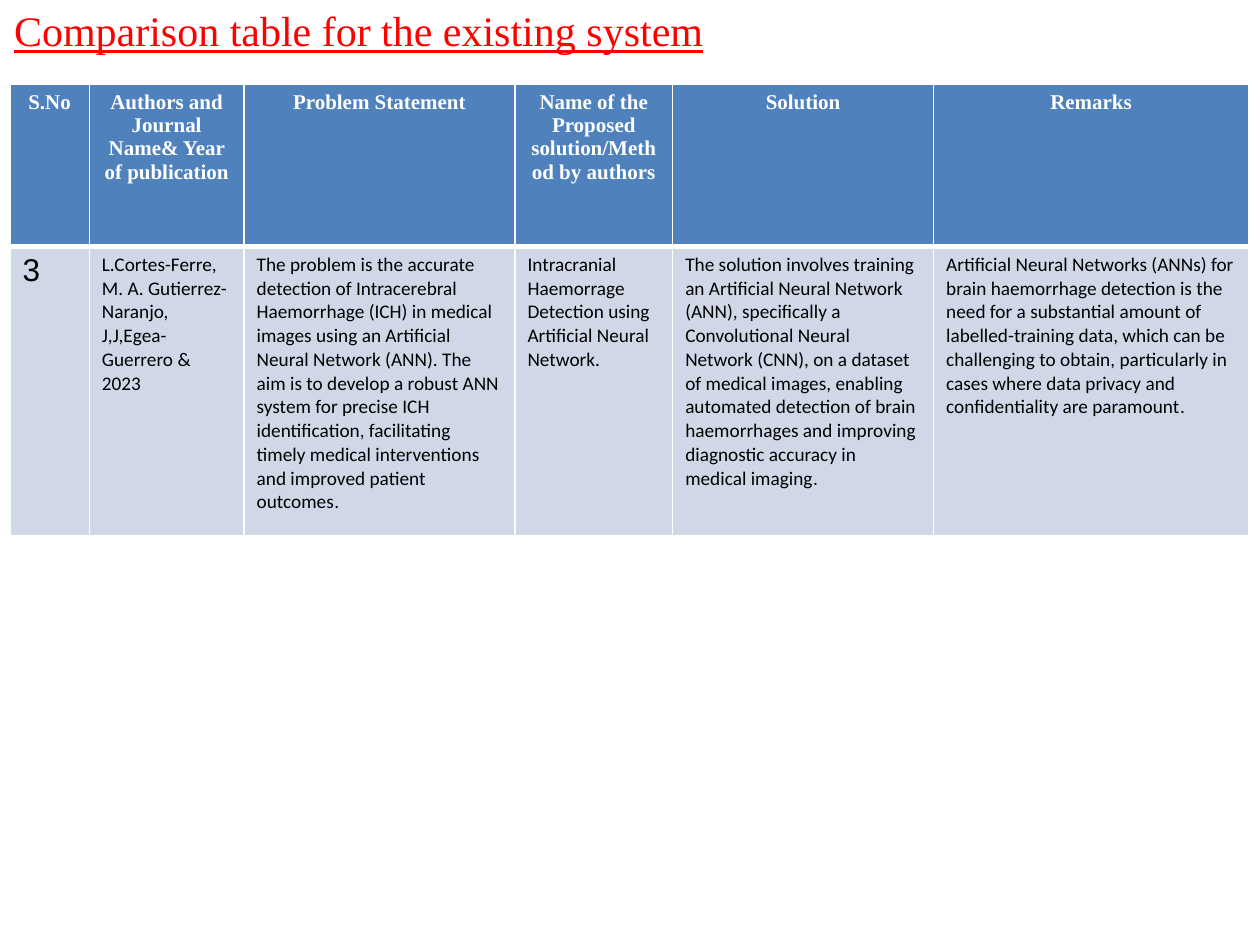
from lxml.etree import SubElement
from pptx import Presentation
from pptx.dml.color import RGBColor
from pptx.enum.text import MSO_ANCHOR, MSO_AUTO_SIZE, PP_ALIGN
from pptx.oxml.ns import qn
from pptx.util import Cm, Pt

TITLE = "Comparison table for the existing system"

# heading, column width in cm, text of the study, font of its closing full stop
COLUMNS = [
    ("S.No", 1.6, "3", None),
    ("Authors and Journal Name& Year of publication", 3.12,
     "L.Cortes-Ferre, M. A. Gutierrez-Naranjo, J,J,Egea-Guerrero & 2023", None),
    ("Problem Statement", 5.46,
     "The problem is the accurate detection of Intracerebral Haemorrhage (ICH) "
     "in medical images using an Artificial Neural Network (ANN). The aim is to "
     "develop a robust ANN system for precise ICH identification, facilitating "
     "timely medical interventions and improved patient outcomes", "stop"),
    ("Name of the Proposed solution/Method by authors", 3.18,
     "Intracranial Haemorrage Detection using Artificial Neural Network.", None),
    ("Solution", 5.26,
     "The solution involves training an Artificial Neural Network (ANN), "
     "specifically a Convolutional Neural Network (CNN), on a dataset of medical "
     "images, enabling automated detection of brain haemorrhages and improving "
     "diagnostic accuracy in medical imaging", "stop"),
    ("Remarks", 6.35,
     "Artificial Neural Networks (ANNs) for brain haemorrhage detection is the "
     "need for a substantial amount of labelled-training data, which can be "
     "challenging to obtain, particularly in cases where data privacy and "
     "confidentiality are paramount", "stop"),
]
HEADER_HEIGHT, STUDY_HEIGHT = 3.27, 5.84

THEME = {
    "title": ({"name": "Times New Roman", "size": Pt(24), "bold": False,
               "underline": True}, "FF0000"),
    "header": ({"name": "Times New Roman", "size": Pt(12), "bold": True}, "FFFFFF"),
    "number": ({"name": "Arial", "size": Pt(18), "bold": False}, "000000"),
    "study": ({"name": "Calibri", "size": Pt(11), "bold": False}, "000000"),
    "stop": ({"name": "Arial", "size": Pt(11), "bold": False}, "000000"),
    "header_fill": "4F81BD",
    "study_fill": "D0D8E8",
    "border": "FFFFFF",
}


def add_run(paragraph, text, role):
    run = paragraph.add_run()
    run.text = text
    values, color = THEME[role]
    for attribute, value in values.items():
        setattr(run.font, attribute, value)
    run.font.color.rgb = RGBColor.from_string(color)


def add_borders(cell, bottom=1, top=1):
    properties = cell._tc.get_or_add_tcPr()
    for side, width in (("L", 1), ("R", 1), ("T", top), ("B", bottom)):
        line = SubElement(properties, qn(f"a:ln{side}"), w=str(Pt(width)))
        fill = SubElement(line, qn("a:solidFill"))
        SubElement(fill, qn("a:srgbClr"), val=THEME["border"])


def fill_cell(cell, color):
    cell.fill.solid()
    cell.fill.fore_color.rgb = RGBColor.from_string(color)


def add_title(slide):
    title = slide.shapes.title
    placement = {"left": Cm(0.03), "top": Cm(-0.03), "width": Cm(24.97), "height": Cm(1.27)}
    for attribute, value in placement.items():
        setattr(title, attribute, value)
    frame = title.text_frame
    frame.vertical_anchor = MSO_ANCHOR.TOP
    frame.auto_size = MSO_AUTO_SIZE.NONE
    frame.word_wrap = True
    frame.paragraphs[0].alignment = PP_ALIGN.LEFT
    add_run(frame.paragraphs[0], TITLE, "title")


def add_comparison(slide):
    total_width = sum(width for _, width, _, _ in COLUMNS)
    table = slide.shapes.add_table(
        2, len(COLUMNS), Cm(0.2), Cm(1.7),
        Cm(total_width), Cm(HEADER_HEIGHT + STUDY_HEIGHT)).table
    table.rows[0].height = Cm(HEADER_HEIGHT)
    table.rows[1].height = Cm(STUDY_HEIGHT)

    for index, (heading, width, study, stop_role) in enumerate(COLUMNS):
        table.columns[index].width = Cm(width)

        header_cell = table.cell(0, index)
        add_borders(header_cell, bottom=3)
        fill_cell(header_cell, THEME["header_fill"])
        header_text = header_cell.text_frame.paragraphs[0]
        header_text.alignment = PP_ALIGN.CENTER
        add_run(header_text, heading, "header")

        study_cell = table.cell(1, index)
        add_borders(study_cell, top=3)
        fill_cell(study_cell, THEME["study_fill"])
        study_text = study_cell.text_frame.paragraphs[0]
        add_run(study_text, study, "study" if index else "number")
        if stop_role:
            add_run(study_text, ".", stop_role)


def main():
    deck = Presentation()
    deck.slide_width, deck.slide_height = Cm(25.4), Cm(19.05)
    slide = deck.slides.add_slide(deck.slide_layouts[5])
    add_title(slide)
    add_comparison(slide)
    deck.save("out.pptx")


if __name__ == "__main__":
    main()
